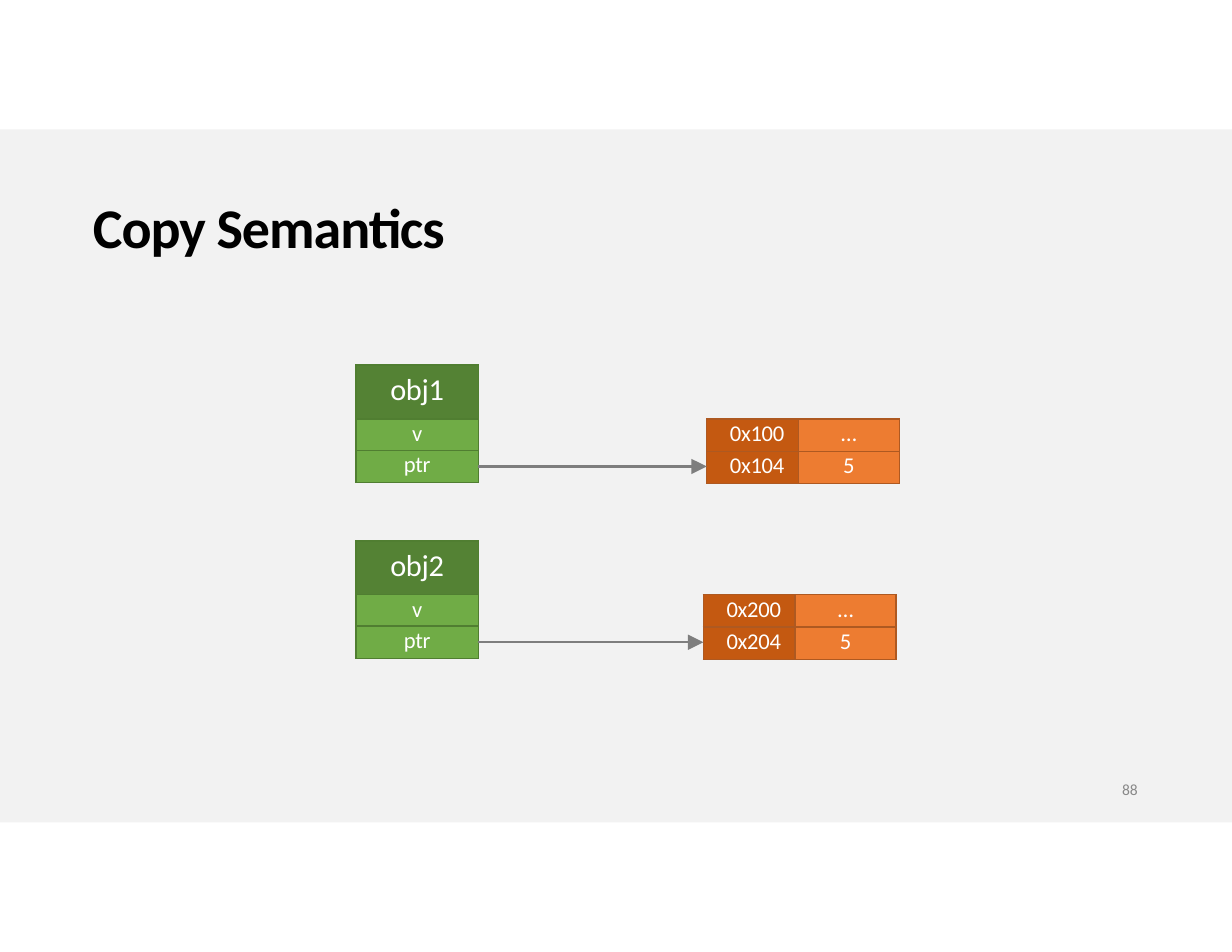
from dataclasses import dataclass
from lxml import etree
from pptx import Presentation
from pptx.dml.color import RGBColor
from pptx.enum.shapes import MSO_CONNECTOR, MSO_SHAPE
from pptx.enum.text import MSO_ANCHOR, PP_ALIGN
from pptx.oxml.ns import qn
from pptx.util import Inches, Pt

LEFT, CENTER = PP_ALIGN.LEFT, PP_ALIGN.CENTER
TOP = MSO_ANCHOR.TOP
RECT, LINE = MSO_SHAPE.RECTANGLE, MSO_CONNECTOR.STRAIGHT


@dataclass(frozen=True)
class Theme:
    face: str = "Calibri"
    band: str = "F2F2F2"
    ink: str = "000000"
    light: str = "FFFFFF"
    faint: str = "898989"
    arrow: str = "7E7E7E"
    head: str = "548234"
    field: str = "70AC46"
    edge: str = "507E31"
    key: str = "C45911"
    cell: str = "ED7C31"
    rim: str = "AE5921"
    title: float = 36
    name: float = 19.5
    text: float = 14.5
    small: float = 10


T = Theme()
WIDE, HIGH = 11, 8.5
TITLE, PAGE = "Copy Semantics", "88"
GROUPS = [
    {"name": "obj1", "fields": ["v", "ptr"], "left": 6.31,
     "heap": [("0x100", "…"), ("0x104", "5")]},
    {"name": "obj2", "fields": ["v", "ptr"], "left": 6.28,
     "heap": [("0x200", "…"), ("0x204", "5")]},
]
FIRST, STEP, OBJ = 3.26, 1.57, 3.18
OBJ_COLS, OBJ_ROWS = [1.09], [0.48, 0.28, 0.29]
HEAP_COLS, HEAP_ROWS = [0.82, 0.9], [0.29, 0.29]


def rgb(code):
    return RGBColor.from_string(code)


def write(frame, text, size, color, align=LEFT, bold=False, gap=0, track=-0.2):
    frame.text = text
    para = frame.paragraphs[0]
    para.alignment, para.space_before = align, Pt(gap)
    font = para.font
    font.name, font.size, font.bold = T.face, Pt(size), bold
    font.color.rgb = rgb(color)
    font._rPr.set("spc", str(round(track * 100)))


def pad(box, left=0, top=0):
    box.margin_left, box.margin_top = Inches(left), Inches(top)
    box.margin_right = box.margin_bottom = 0
    box.vertical_anchor = TOP


def border(cell, color, width):
    props = cell._tc.get_or_add_tcPr()
    for side in "LRTB":
        line = etree.SubElement(props, qn(f"a:ln{side}"), w=str(Pt(width)))
        fill = etree.SubElement(line, qn("a:solidFill"))
        etree.SubElement(fill, qn("a:srgbClr"), val=color)


def grid(slide, left, top, cols, rows, cells, edge):
    frame = slide.shapes.add_table(
        len(rows), len(cols), Inches(left), Inches(top),
        Inches(sum(cols)), Inches(sum(rows)))
    table = frame.table
    table.first_row = table.horz_banding = False
    for col, width in zip(table.columns, cols):
        col.width = Inches(width)
    for r, (high, line) in enumerate(zip(rows, cells)):
        table.rows[r].height = Inches(high)
        for c, (text, size, fill, inset, gap) in enumerate(line):
            cell = table.cell(r, c)
            border(cell, edge, 1)
            cell.fill.solid()
            cell.fill.fore_color.rgb = rgb(fill)
            pad(cell, inset, 0.06 if size == T.name else 0.01)
            write(cell.text_frame, text, size, T.light, CENTER, gap=gap)


def arrow(slide, start, end, y):
    link = slide.shapes.add_connector(
        LINE, Inches(start), Inches(y), Inches(end), Inches(y))
    link.line.color.rgb, link.line.width = rgb(T.arrow), Pt(1.5)
    etree.SubElement(link.line._get_or_add_ln(), qn("a:tailEnd"),
                     type="triangle", w="lg", len="lg")
    etree.SubElement(link._element.spPr, qn("a:effectLst"))


def group(slide, data, top):
    names = [[(data["name"], T.name, T.head, 0, 4.2)]]
    names += [[(f, T.text, T.field, 0, 0.7)] for f in data["fields"]]
    heap = [[(k, T.text, T.key, 0.08, 0.8), (v, T.text, T.cell, 0, 0.8)]
            for k, v in data["heap"]]
    grid(slide, OBJ, top, OBJ_COLS, OBJ_ROWS, names, T.edge)
    grid(slide, data["left"], top + OBJ_ROWS[0], HEAP_COLS, HEAP_ROWS,
         heap, T.rim)
    arrow(slide, OBJ + sum(OBJ_COLS), data["left"],
          top + sum(OBJ_ROWS) - OBJ_ROWS[-1] / 2)


def main():
    deck = Presentation()
    deck.slide_width, deck.slide_height = Inches(WIDE), Inches(HIGH)
    slide = deck.slides.add_slide(deck.slide_layouts[5])
    shapes = slide.shapes

    high = WIDE * 9 / 16
    band = shapes.add_shape(RECT, 0, Inches((HIGH - high) / 2),
                            Inches(WIDE), Inches(high))
    band.shadow.inherit = False
    band.fill.solid()
    band.fill.fore_color.rgb = rgb(T.band)
    band.line.fill.background()
    shapes._spTree.insert(2, band._element)

    title = shapes.title
    title.left, title.top = Inches(0.83), Inches(1.7)
    title.width, title.height = Inches(7.23), Inches(0.64)
    pad(title.text_frame, top=0.02)
    write(title.text_frame, TITLE, T.title, T.ink, bold=True, gap=1.4,
          track=-0.65)

    for i, data in enumerate(GROUPS):
        group(slide, data, FIRST + i * STEP)

    page = shapes.add_textbox(Inches(9.94), Inches(6.96),
                              Inches(0.28), Inches(0.17)).text_frame
    page.word_wrap = True
    pad(page, 0.08)
    write(page, PAGE, T.small, T.faint)
    deck.save("out.pptx")


if __name__ == "__main__":
    main()
